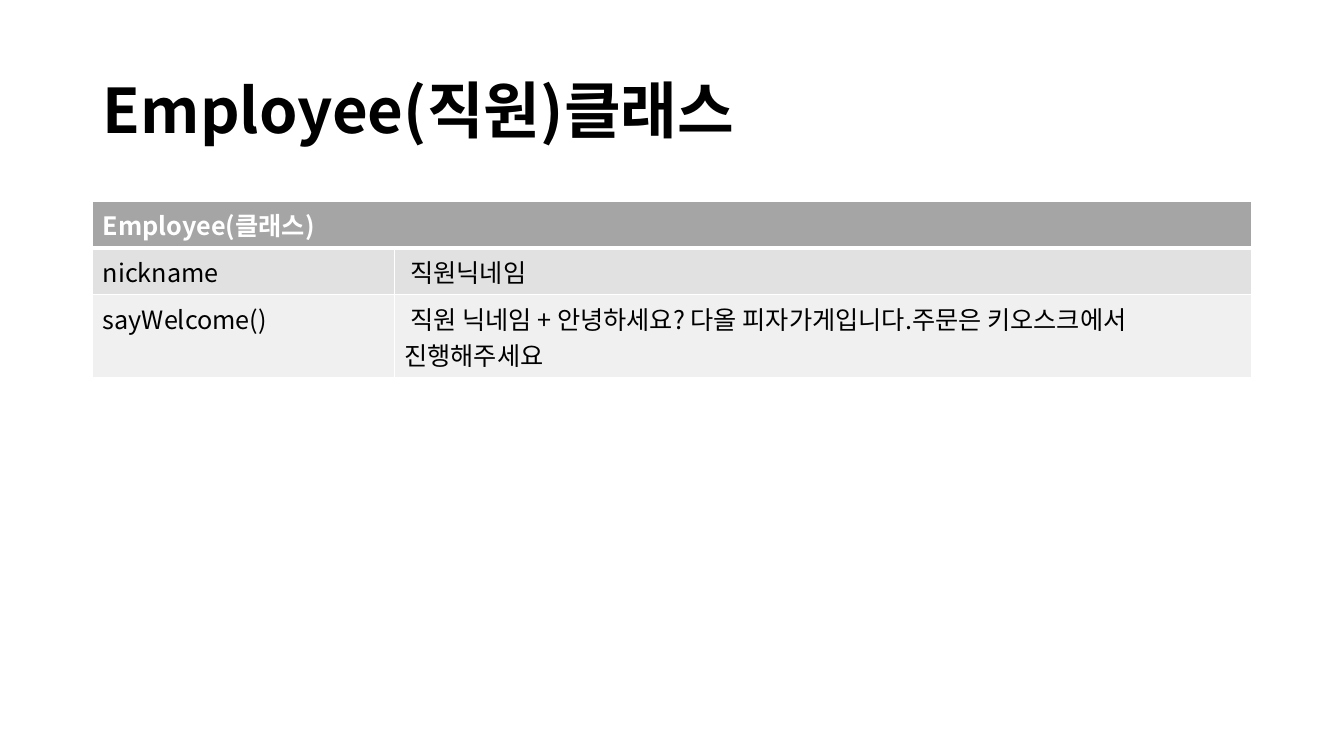
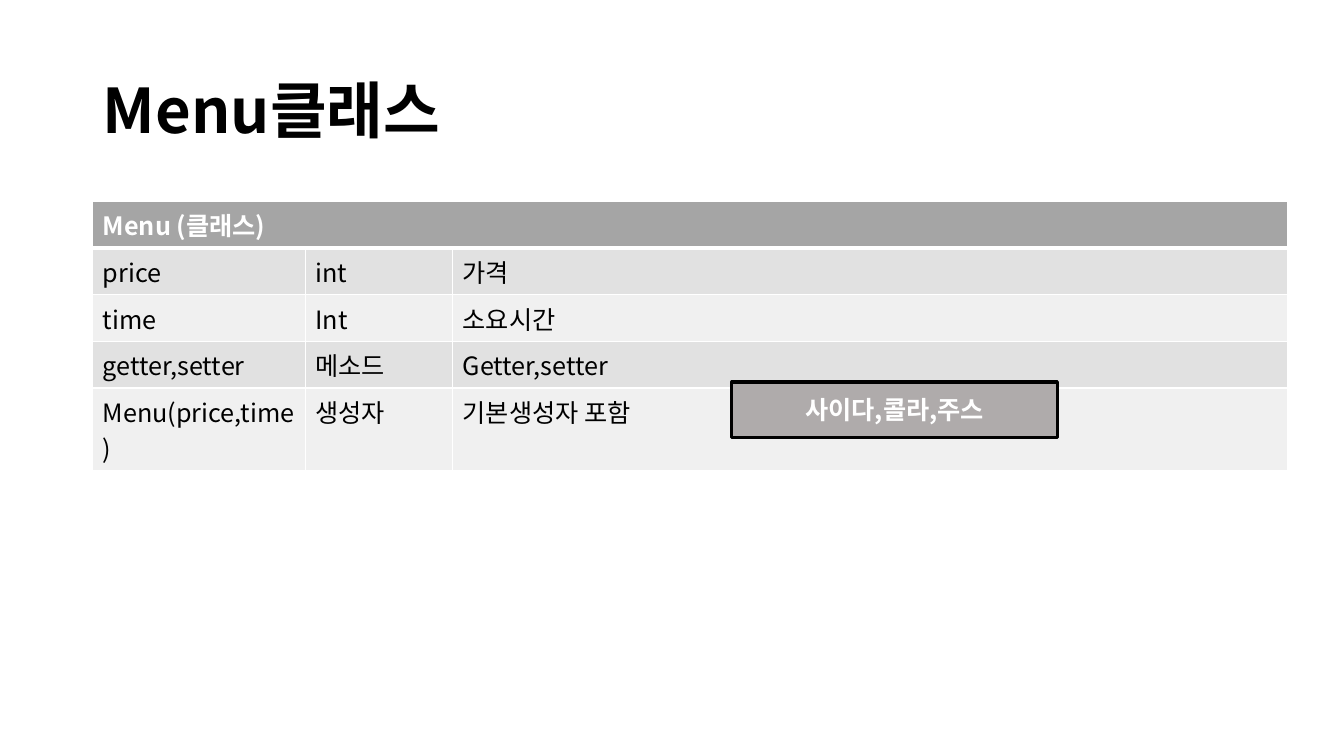
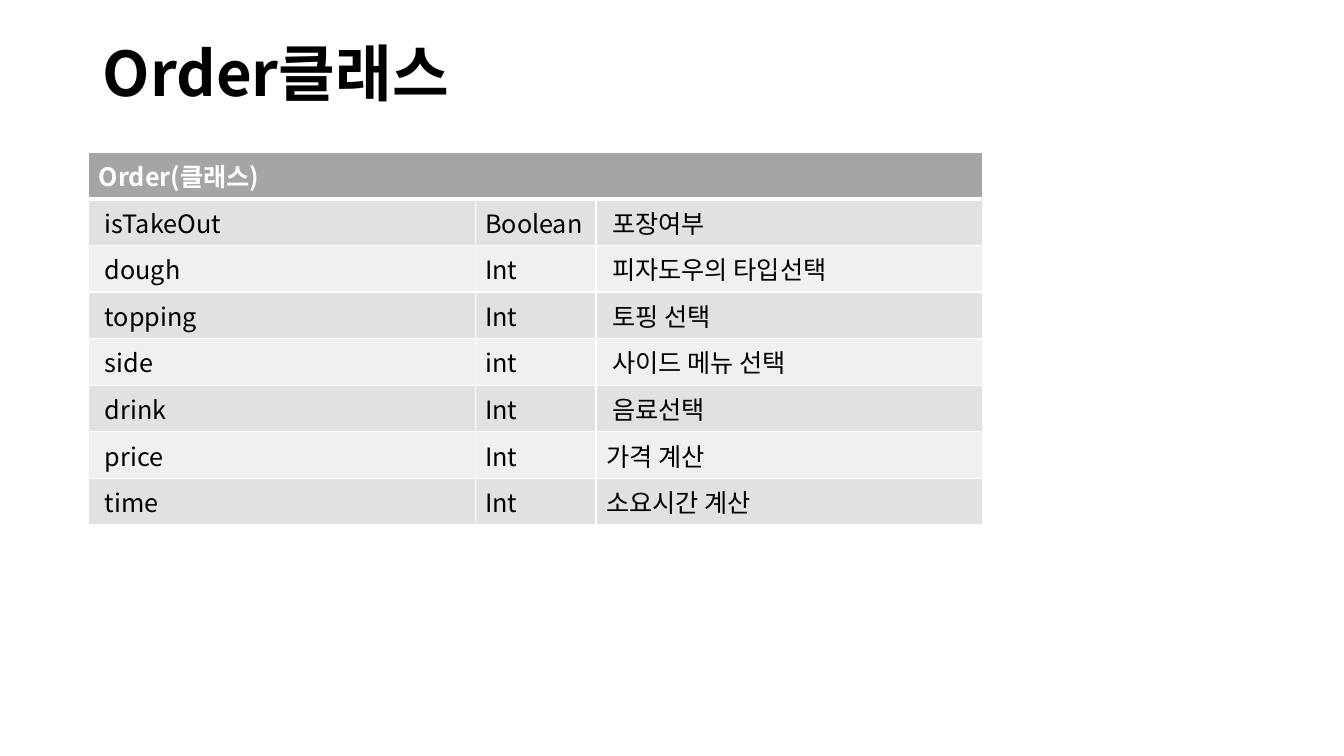
import pptx
import pptx.dml.color
import pptx.enum.shapes
import pptx.enum.text
import pptx.oxml.ns
import pptx.util
import lxml.etree

PP = pptx.enum.text.PP_ALIGN
MIDDLE = pptx.enum.text.MSO_ANCHOR.MIDDLE
qn = pptx.oxml.ns.qn


def rgb(value):
    return pptx.dml.color.RGBColor.from_string(value)


class Deck:
    FONT = "Noto Sans CJK KR"
    BLACK, WHITE = "000000", "FFFFFF"
    HEADER, BANDS = "A5A5A5", ("E1E1E1", "F0F0F0")
    LEFT, TABLE_TOP, ROW = 6.9, 26.67, 5.4

    def __init__(self):
        self.prs = pptx.Presentation()
        self.prs.slide_width = pptx.util.Inches(13.33)
        self.prs.slide_height = pptx.util.Inches(7.5)
        self.s = None

    def x(self, percent):
        return round(self.prs.slide_width * percent / 100)

    def y(self, percent):
        return round(self.prs.slide_height * percent / 100)

    def box(self, left, top, width, height):
        return self.x(left), self.y(top), self.x(width), self.y(height)

    def style_text(self, tf, text, size, color, bold, align=PP.LEFT):
        tf.text = text
        p = tf.paragraphs[0]
        p.alignment = align
        for r in p.runs:
            r.font.size = pptx.util.Pt(size)
            r.font.bold = bold
            r.font.color.rgb = rgb(color)
            r.font.name = self.FONT
            ea = lxml.etree.SubElement(r._r.get_or_add_rPr(), qn("a:ea"))
            ea.set("typeface", self.FONT)
        return p

    def slide(self, title, lift=0):
        self.s = self.prs.slides.add_slide(self.prs.slide_layouts[5])
        sp = self.s.shapes.title
        sp.left, sp.top, sp.width, sp.height = self.box(self.LEFT, 5.33, 86.25, 19.33)
        tf = sp.text_frame
        tf.word_wrap = True
        tf.auto_size = pptx.enum.text.MSO_AUTO_SIZE.NONE
        tf.vertical_anchor = MIDDLE
        tf.margin_bottom = pptx.util.Inches(0.05) + self.y(lift)
        p = self.style_text(tf, title, 44, self.BLACK, True)
        p.line_spacing = 0.9

    def borders(self, cell, top, bottom):
        tcPr = cell._tc.get_or_add_tcPr()
        for side, width in (("L", 1), ("R", 1), ("T", top), ("B", bottom)):
            ln = lxml.etree.SubElement(tcPr, qn(f"a:ln{side}"))
            ln.set("w", str(pptx.util.Pt(width)))
            fill = lxml.etree.SubElement(ln, qn("a:solidFill"))
            lxml.etree.SubElement(fill, qn("a:srgbClr")).set("val", self.WHITE)

    def table(self, header, rows, widths, left=LEFT, top=TABLE_TOP, indents=None):
        indents = indents or {}
        count = len(rows) + 1
        frame = self.s.shapes.add_table(
            count, len(widths), *self.box(left, top, sum(widths), self.ROW * count))
        table = frame.table
        for column, width in zip(table.columns, widths):
            column.width = self.x(width)
        for row in table.rows:
            row.height = self.y(self.ROW)
        for c in range(len(widths)):
            self.cell(table.cell(0, c), self.HEADER, 1, 3)
        table.cell(0, 0).merge(table.cell(0, len(widths) - 1))
        self.style_text(table.cell(0, 0).text_frame, header, 18, self.WHITE, True)
        for i, texts in enumerate(rows):
            for c, text in enumerate(texts):
                cell = table.cell(i + 1, c)
                self.cell(cell, self.BANDS[i % 2], 3 if i == 0 else 1, 1)
                p = self.style_text(cell.text_frame, text, 18, self.BLACK, False)
                if i < indents.get(c, 0):
                    p._p.get_or_add_pPr().set("indent", str(pptx.util.Inches(0.06)))

    def cell(self, cell, color, top, bottom):
        self.borders(cell, top, bottom)
        cell.fill.solid()
        cell.fill.fore_color.rgb = rgb(color)

    def label(self, text, left, top, width, height):
        sp = self.s.shapes.add_shape(
            pptx.enum.shapes.MSO_SHAPE.RECTANGLE, *self.box(left, top, width, height))
        sp.shadow.inherit = False
        sp.fill.solid()
        sp.fill.fore_color.rgb = rgb("AFABAB")
        sp.line.color.rgb = rgb(self.BLACK)
        sp.line.width = pptx.util.Pt(2.25)
        sp.text_frame.vertical_anchor = MIDDLE
        self.style_text(sp.text_frame, text, 18, self.WHITE, True, PP.CENTER)


def main():
    deck = Deck()

    deck.slide("Employee(직원)클래스")
    deck.table("Employee(클래스)", [
        ("nickname", "직원닉네임"),
        ("sayWelcome()",
         "직원 닉네임 + 안녕하세요? 다올 피자가게입니다.주문은 키오스크에서 진행해주세요"),
    ], (22.43, 63.82), indents={1: 2})

    deck.slide("Menu클래스")
    deck.table("Menu (클래스)", [
        ("price", "int", "가격"),
        ("time", "Int", "소요시간"),
        ("getter,setter", "메소드", "Getter,setter"),
        ("Menu(price,time)", "생성자", "기본생성자 포함"),
    ], (15.83, 10.95, 62.1))
    deck.label("사이다,콜라,주스", 54.45, 50.53, 24.23, 7.33)

    deck.slide("Order클래스", lift=9.7)
    deck.table("Order(클래스)", [
        ("isTakeOut", "Boolean", "포장여부"),
        ("dough", "Int", "피자도우의 타입선택"),
        ("topping", "Int", "토핑 선택"),
        ("side", "int", "사이드 메뉴 선택"),
        ("drink", "Int", "음료선택"),
        ("price", "Int", "가격 계산"),
        ("time", "Int", "소요시간 계산"),
    ], (28.75, 9, 28.75), left=6.6, top=20.13, indents={0: 7, 2: 5})

    deck.prs.save("out.pptx")


if __name__ == "__main__":
    main()
